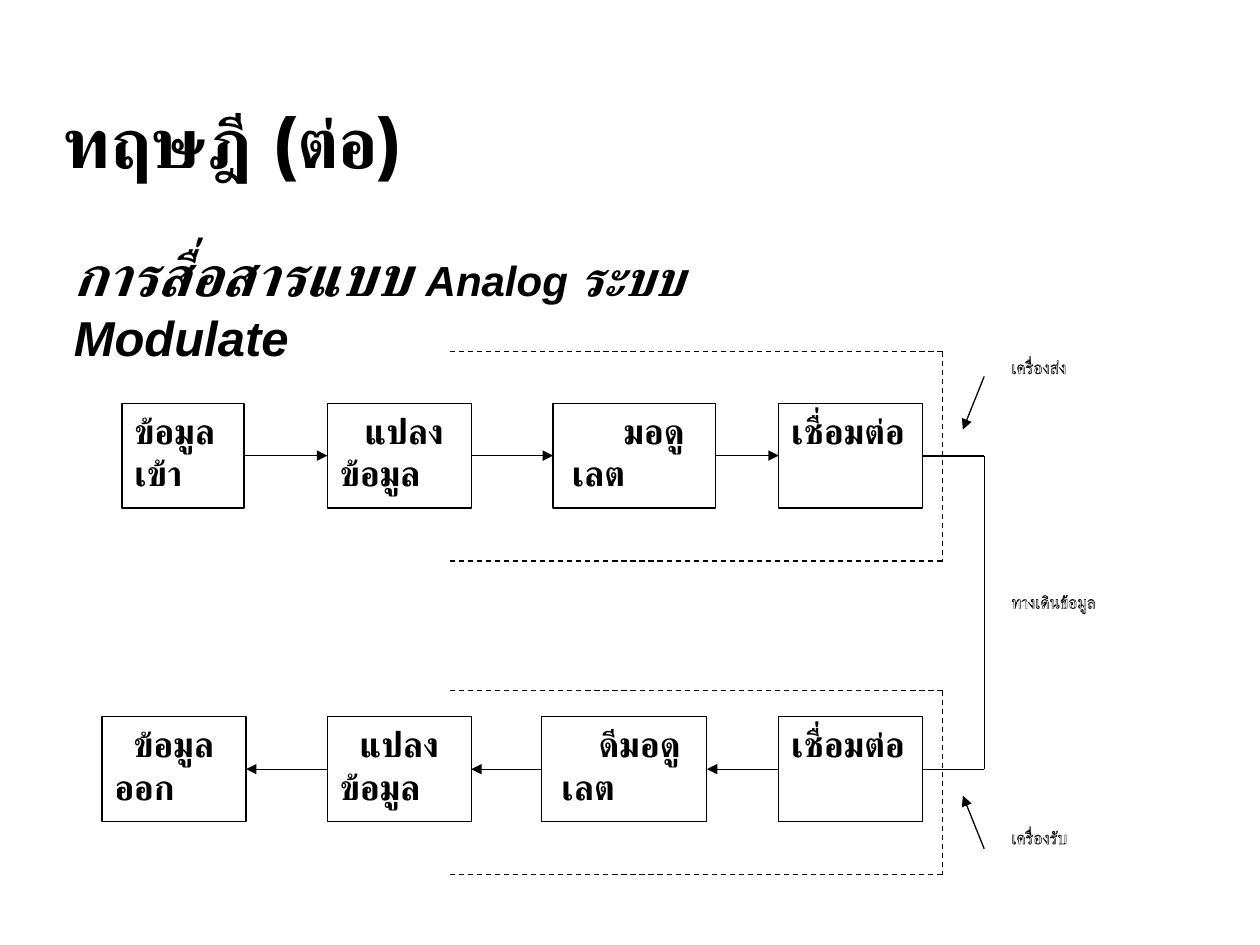
from dataclasses import dataclass
from itertools import pairwise

from lxml import etree
from pptx import Presentation
from pptx.dml.color import RGBColor
from pptx.enum.dml import MSO_LINE
from pptx.enum.shapes import MSO_CONNECTOR, MSO_SHAPE
from pptx.enum.text import MSO_ANCHOR, PP_ALIGN
from pptx.oxml.ns import qn
from pptx.util import Cm, Pt

DASH = MSO_LINE.DASH
STRAIGHT = MSO_CONNECTOR.STRAIGHT
RECT = MSO_SHAPE.RECTANGLE
TOP, MIDDLE = MSO_ANCHOR.TOP, MSO_ANCHOR.MIDDLE
LEFT = PP_ALIGN.LEFT


@dataclass(frozen=True)
class Theme:
    """Colours, fonts and sizes of the slide."""
    ink: RGBColor = RGBColor(0, 0, 0)
    paper: RGBColor = RGBColor(255, 255, 255)
    title_font: str = "Montserrat"
    lead_font: str = "Arial"
    body_font: str = "Calibri"
    title: int = 40
    lead: tuple = (32, 24, 28)
    box: int = 20
    label: int = 10
    line: float = 0.75


THEME = Theme()


def set_font(p, name, size, color=THEME.ink, bold=True, italic=False):
    """Set the font of a paragraph for Latin and Thai text."""
    f = p.font
    f.name, f.size, f.bold, f.italic = name, Pt(size), bold, italic
    f.color.rgb = color
    rpr = p._p.pPr.find(qn("a:defRPr"))
    etree.SubElement(rpr, qn("a:cs"), typeface=name)
    return rpr


def set_indent(p, margin, first=0):
    """Set the left margin and first-line indent of a paragraph in cm."""
    ppr = p._p.get_or_add_pPr()
    ppr.set("marL", str(Cm(margin)))
    ppr.set("indent", str(Cm(first)))


def add_text(s, x, y, w, h, text="", wrap=True, anchor=TOP):
    """Add a text box and return its first paragraph."""
    tf = s.shapes.add_textbox(Cm(x), Cm(y), Cm(w), Cm(h)).text_frame
    tf.word_wrap = wrap
    tf.vertical_anchor = anchor
    p = tf.paragraphs[0]
    p.text = text
    return p


def add_line(s, start, end, dash=None, arrow=False):
    """Add a straight line, dashed or with an arrowhead at its end."""
    c = s.shapes.add_connector(STRAIGHT, *map(Cm, start + end))
    c.line.color.rgb = THEME.ink
    c.line.width = Pt(THEME.line)
    if dash:
        c.line.dash_style = dash
    if arrow:
        etree.SubElement(c.line._get_or_add_ln(), qn("a:tailEnd"), type="triangle")
    etree.SubElement(c._element.spPr, qn("a:effectLst"))


def add_bracket(s, x, y, w, h, dash=None):
    """Add three lines round a box that is open on the left."""
    corners = (x, y), (x + w, y), (x + w, y + h), (x, y + h)
    for start, end in pairwise(corners):
        add_line(s, start, end, dash)


def add_box(s, x, y, w, h, text, margin, first):
    """Add one process box of the diagram."""
    sp = s.shapes.add_shape(RECT, Cm(x), Cm(y), Cm(w), Cm(h))
    sp.shadow.inherit = False
    sp.fill.solid()
    sp.fill.fore_color.rgb = THEME.paper
    sp.line.color.rgb = THEME.ink
    sp.line.width = Pt(THEME.line)
    tf = sp.text_frame
    tf.word_wrap = True
    tf.vertical_anchor = TOP
    p = tf.paragraphs[0]
    p.text = text
    p.alignment = LEFT
    set_indent(p, margin, first)
    set_font(p, THEME.body_font, THEME.box)


def add_station(s, x, y, w, h, box_top, boxes, forward):
    """Add a dashed station frame with its chain of boxes and arrows."""
    box_h, frame_left = 2.11, 7.01
    add_bracket(s, x + frame_left, y, w - frame_left, h, DASH)
    for left, width, text, margin, first in boxes:
        add_box(s, x + left, y + box_top, width, box_h, text, margin, first)
    mid = y + box_top + box_h / 2
    for a, b in pairwise(boxes):
        ends = (x + a[0] + a[1], mid), (x + b[0], mid)
        add_line(s, *(ends if forward else ends[::-1]), arrow=True)


def add_label(s, x, y, w, h, text):
    """Add a small outlined label."""
    p = add_text(s, x, y, w, h, text, wrap=False)
    rpr = set_font(p, THEME.body_font, THEME.label, THEME.paper, bold=False)
    ln = etree.Element(qn("a:ln"), w=str(Pt(THEME.line)))
    fill = etree.SubElement(ln, qn("a:solidFill"))
    etree.SubElement(fill, qn("a:srgbClr"), val=str(THEME.ink))
    rpr.insert(0, ln)


def add_headings(s, x, y, w, h):
    """Add the title and the subtitle below it."""
    p = add_text(s, x, y, w, h, "ทฤษฎี (ต่อ)", anchor=MIDDLE)
    set_indent(p, 2.54)
    set_font(p, THEME.title_font, THEME.title)
    p = add_text(s, x + 2.74, y + 3.91, 15.06, 2.79)
    set_font(p, THEME.lead_font, THEME.lead[0], italic=True)
    for text, size in zip(("การสื่อสารแบบ ", "Analog ", "ระบบ Modulate"), THEME.lead):
        r = p.add_run()
        r.text = text
        r.font.size = Pt(size)


def add_channel(s, x, y, w, h):
    """Add the data path between the stations, with all side labels."""
    add_bracket(s, x, y, w, h)
    right = x + w
    for start, end in ((y - 1.6, y - 0.53), (y + h + 1.6, y + h + 0.53)):
        add_line(s, (right, start), (right - 0.43, end), arrow=True)
    add_label(s, right + 0.3, y - 2.13, 1.68, 0.79, "เครื่องส่ง")
    add_label(s, right + 0.3, y + h + 1.03, 1.68, 0.79, "เครื่องรับ")
    add_label(s, right + 0.3, y + 2.6, 2.64, 1.07, "ทางเดินข้อมูล")


def main():
    """Build the slide and save it."""
    prs = Presentation()
    prs.slide_width, prs.slide_height = Cm(25.4), Cm(19.05)
    s = prs.slides.add_slide(prs.slide_layouts[6])
    add_headings(s, -1.5, 0.81, 21.59, 4.06)
    sender = (
        (0.4, 2.46, "ข้อมูลเข้า", 0, 0),
        (4.54, 2.9, "แปลงข้อมูล", 0, 0.5),
        (9.09, 3.28, "มอดูเลต", 0.13, 1.04),
        (13.64, 2.9, "เชื่อมต่อ", 0, 0),
    )
    receiver = (
        (0, 2.9, "ข้อมูลออก", 0, 0.38),
        (4.54, 2.9, "แปลงข้อมูล", 0, 0.4),
        (8.86, 3.33, "ดีมอดูเลต", 0.15, 0.75),
        (13.64, 2.9, "เชื่อมต่อ", 0, 0),
    )
    add_station(s, 2.06, 7.09, 16.94, 4.22, 1.04, sender, forward=True)
    add_station(s, 2.06, 13.92, 16.94, 3.71, 0.53, receiver, forward=False)
    add_channel(s, 18.6, 9.19, 1.24, 6.32)
    prs.save("out.pptx")


if __name__ == "__main__":
    main()
